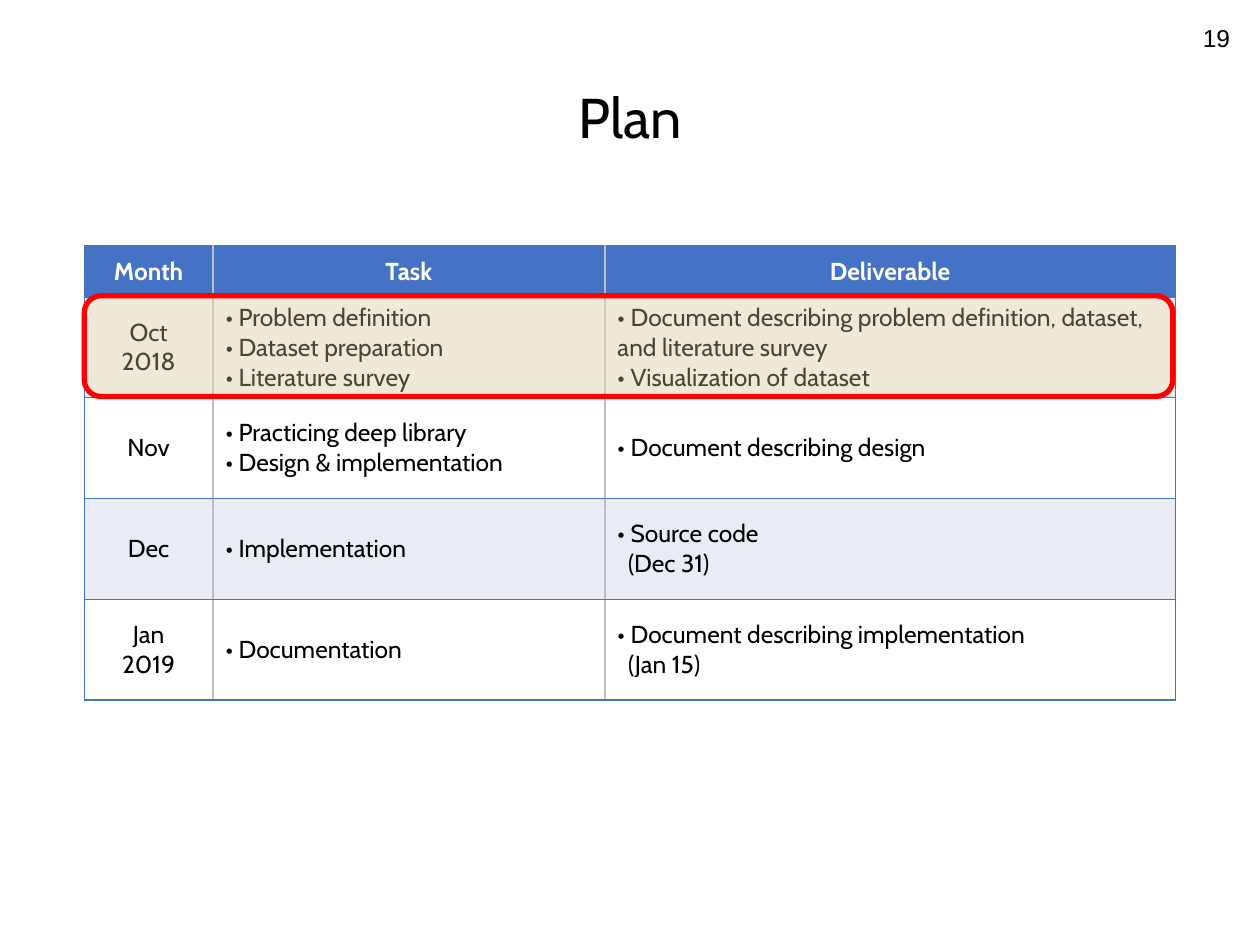
from dataclasses import dataclass

from lxml import etree
from pptx import Presentation
from pptx.dml.color import RGBColor
from pptx.enum.shapes import MSO_SHAPE
from pptx.enum.text import MSO_ANCHOR, MSO_AUTO_SIZE, PP_ALIGN
from pptx.oxml.ns import qn
from pptx.util import Pt

LEFT, CENTER, RIGHT = PP_ALIGN.LEFT, PP_ALIGN.CENTER, PP_ALIGN.RIGHT
MIDDLE = MSO_ANCHOR.MIDDLE
ROUNDED = MSO_SHAPE.ROUNDED_RECTANGLE
TITLE_ONLY = 5


@dataclass(frozen=True)
class Theme:
    font: str = "Cabin"
    number_font: str = "Arial"
    title_size: float = 32
    body_size: float = 14
    text: str = "000000"
    white: str = "FFFFFF"
    header: str = "4472C4"
    band: str = "E9EBF5"
    divider: str = "BFBFBF"
    mark_fill: str = "FFE699"
    mark_line: str = "FF0000"


THEME = Theme()
COLUMN_WIDTHS = [73.5, 224, 326]
HEADER_HEIGHT, ROW_HEIGHT = 29.2, 57.6
TABLE_LEFT, TABLE_TOP = 48.2, 140.4
CONTINUATION_INDENT = 6

HEADINGS = ["Month", "Task", "Deliverable"]
PLAN = [
    (["Oct", "2018"],
     ["• Problem definition", "• Dataset preparation", "• Literature survey"],
     ["• Document describing problem definition, dataset, and literature survey",
      "• Visualization of dataset"]),
    (["Nov"],
     ["• Practicing deep library", "• Design & implementation"],
     ["• Document describing design"]),
    (["Dec"],
     ["• Implementation"],
     ["• Source code", "(Dec 31)"]),
    (["Jan", "2019"],
     ["• Documentation"],
     ["• Document describing implementation", "(Jan 15)"]),
]


def write_text(frame, lines, *, size=THEME.body_size, font=THEME.font,
               color=THEME.text, bold=False, align=LEFT, spacing=None):
    """Write one paragraph per line; a line in brackets continues the item above."""
    for index, line in enumerate(lines):
        para = frame.paragraphs[0] if index == 0 else frame.add_paragraph()
        para.alignment = align
        para.line_spacing = spacing
        if line.startswith("("):
            para._p.get_or_add_pPr().set("marL", str(Pt(CONTINUATION_INDENT)))
        span = para.add_run()
        span.text = line
        span.font.size = Pt(size)
        span.font.name = font
        span.font.bold = bold
        span.font.color.rgb = RGBColor.from_string(color)


def set_borders(cell, colors):
    """Draw 1 pt borders, given their colours as left, right, top, bottom."""
    properties = cell._tc.get_or_add_tcPr()
    for index, (side, color) in enumerate(zip("LRTB", colors)):
        line = etree.Element(qn(f"a:ln{side}"), w=str(Pt(1)))
        fill = etree.SubElement(line, qn("a:solidFill"))
        etree.SubElement(fill, qn("a:srgbClr"), val=color)
        properties.insert(index, line)


def add_title(page, text):
    title = page.shapes.title
    title.left, title.top, title.width, title.height = map(Pt, (49.7, 44.6, 620.6, 48.2))
    title.text_frame.auto_size = MSO_AUTO_SIZE.NONE
    title.text_frame.vertical_anchor = MIDDLE
    write_text(title.text_frame, [text], size=THEME.title_size, align=CENTER, spacing=0.9)


def add_page_number(page, number):
    box = page.shapes.add_textbox(Pt(548), Pt(7.2), Pt(162), Pt(28.8))
    box.text_frame.word_wrap = True
    box.text_frame.vertical_anchor = MIDDLE
    write_text(box.text_frame, [str(number)], font=THEME.number_font, align=RIGHT)


def add_plan_table(page):
    heights = [HEADER_HEIGHT] + [ROW_HEIGHT] * len(PLAN)
    frame = page.shapes.add_table(
        len(heights), len(COLUMN_WIDTHS), Pt(TABLE_LEFT), Pt(TABLE_TOP),
        Pt(sum(COLUMN_WIDTHS)), Pt(sum(heights)))
    table = frame.table
    table.first_row = table.horz_banding = False
    for column, width in zip(table.columns, COLUMN_WIDTHS):
        column.width = Pt(width)
    for row, height in zip(table.rows, heights):
        row.height = Pt(height)

    last = len(COLUMN_WIDTHS) - 1
    rows = [[[heading] for heading in HEADINGS]] + PLAN
    for r, row in enumerate(rows):
        is_header = r == 0
        band = THEME.band if r % 2 else THEME.white
        for c, lines in enumerate(row):
            cell = table.cell(r, c)
            cell.vertical_anchor = MIDDLE
            cell.fill.solid()
            cell.fill.fore_color.rgb = RGBColor.from_string(
                THEME.header if is_header else band)
            set_borders(cell, [THEME.header if c == 0 else THEME.divider,
                               THEME.header if c == last else THEME.divider,
                               THEME.header, THEME.header])
            write_text(cell.text_frame, lines, bold=is_header,
                       color=THEME.white if is_header else THEME.text,
                       align=CENTER if is_header or c == 0 else LEFT)


def add_row_highlight(page):
    """Mark the first month with a translucent rounded frame."""
    mark = page.shapes.add_shape(
        ROUNDED, Pt(TABLE_LEFT), Pt(TABLE_TOP + HEADER_HEIGHT - 0.6), Pt(622), Pt(ROW_HEIGHT))
    mark.shadow.inherit = False
    mark.fill.solid()
    mark.fill.fore_color.rgb = RGBColor.from_string(THEME.mark_fill)
    color = mark._element.spPr.find(f"{qn('a:solidFill')}/{qn('a:srgbClr')}")
    etree.SubElement(color, qn("a:alpha"), val="30000")
    mark.line.color.rgb = RGBColor.from_string(THEME.mark_line)
    mark.line.width = Pt(3)


def main():
    deck = Presentation()
    deck.slide_width, deck.slide_height = Pt(720), Pt(540)
    page = deck.slides.add_slide(deck.slide_layouts[TITLE_ONLY])
    add_title(page, "Plan")
    add_page_number(page, 19)
    add_plan_table(page)
    add_row_highlight(page)
    deck.save("out.pptx")


if __name__ == "__main__":
    main()
